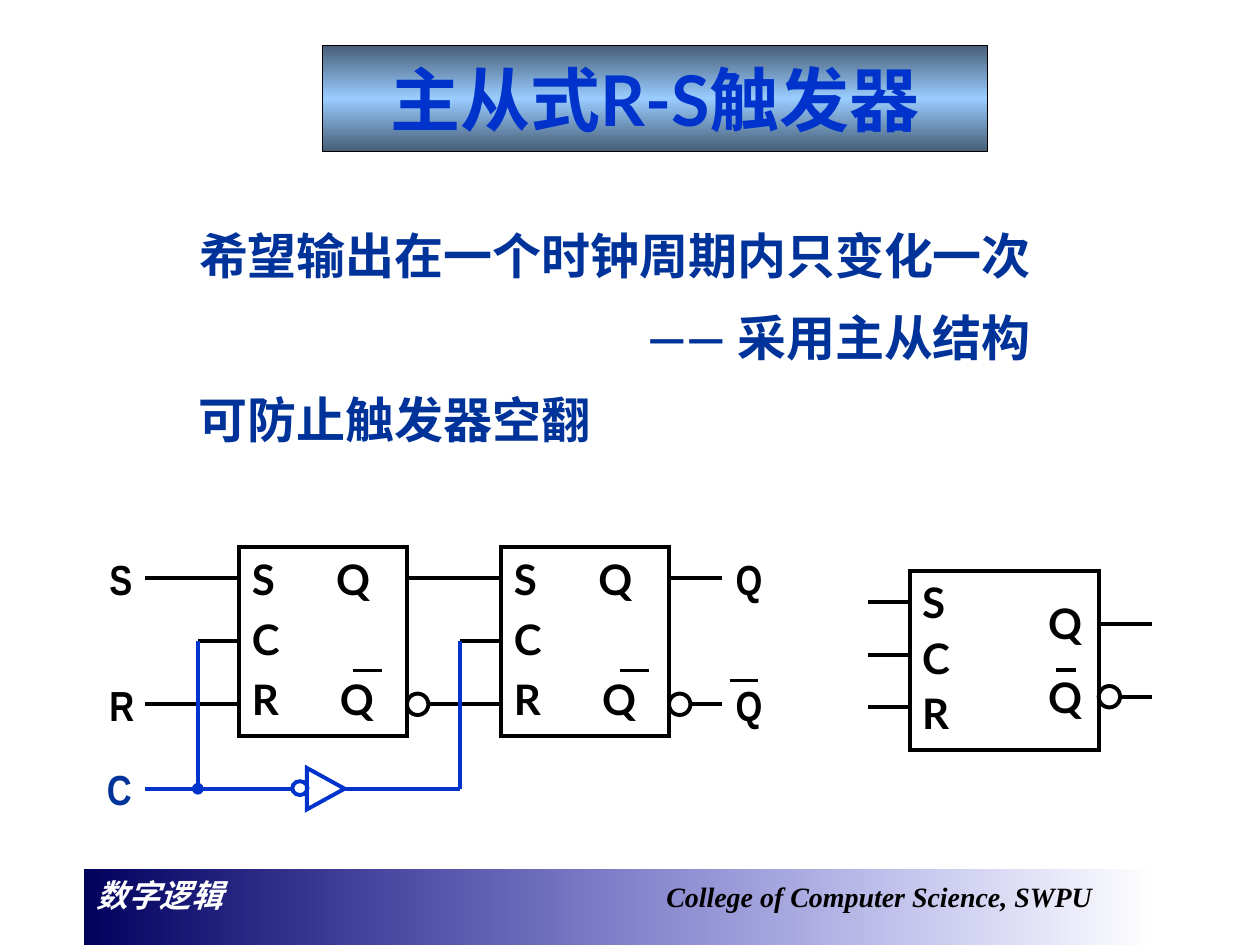
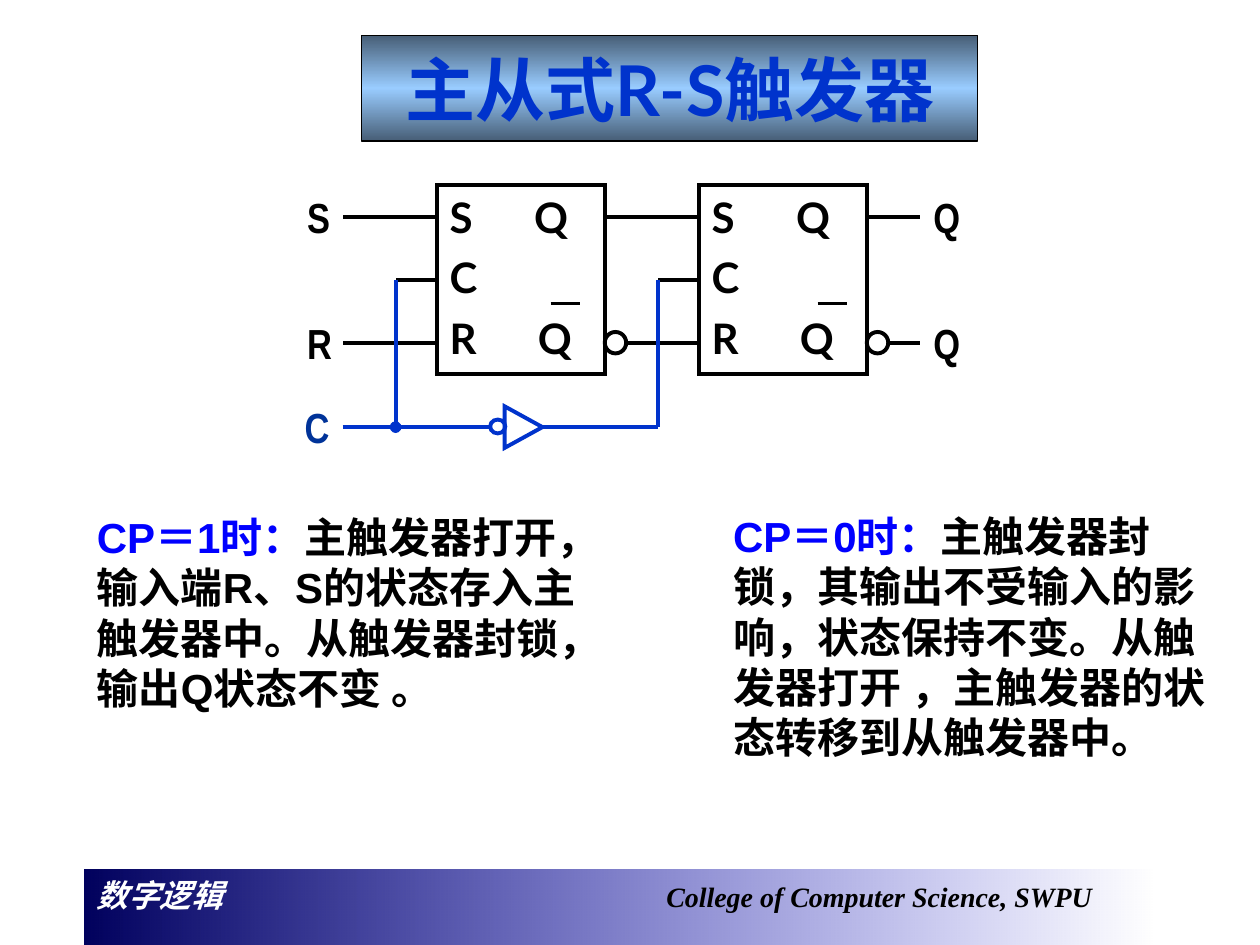
from pptx import Presentation
from pptx.dml.color import RGBColor
from pptx.enum.lang import MSO_LANGUAGE_ID
from pptx.enum.shapes import MSO_CONNECTOR, MSO_SHAPE
from pptx.enum.text import MSO_ANCHOR, MSO_AUTO_SIZE, PP_ALIGN
from pptx.oxml import parse_xml
from pptx.oxml.ns import nsdecls, qn
from pptx.util import Inches, Pt

STRAIGHT = MSO_CONNECTOR.STRAIGHT
RECT, OVAL, TRIANGLE = MSO_SHAPE.RECTANGLE, MSO_SHAPE.OVAL, MSO_SHAPE.ISOSCELES_TRIANGLE
TOP, MIDDLE = MSO_ANCHOR.TOP, MSO_ANCHOR.MIDDLE
LEFT, CENTER, RIGHT = PP_ALIGN.LEFT, PP_ALIGN.CENTER, PP_ALIGN.RIGHT
CHINESE = MSO_LANGUAGE_ID.SIMPLIFIED_CHINESE
LEFT_SIDE = 1

# Shared styles
BLACK, WHITE, NAVY, WIRE_BLUE, CP_BLUE = "000000", "FFFFFF", "003399", "0033CC", "0000FF"
BAND_STOPS = [(0, "00005E", 100), (100, "0000CC", 0)]
TITLE_STOPS = [(0, "475E76", 100), (50, "99CCFF", 100), (100, "475E76", 100)]
ASIAN_FONT = "Lato"
TITLE = dict(size=40, name="Lato", color=WIRE_BLUE)
PIN = dict(size=24, name="Lato", color=BLACK)
SIGNAL = dict(size=24, name="Arial Narrow", color=BLACK)
CLOCK = dict(SIGNAL, color=NAVY)
CLAIM = dict(size=28, name="Noto Sans CJK SC", color=NAVY)
DASH = dict(CLAIM, name="Times New Roman")
CP = dict(size=24, name="Arial", color=CP_BLUE)
CP_BODY = dict(CP, color=BLACK)
COURSE = dict(size=18, name="Times New Roman", color=WHITE, italic=True)
COLLEGE = dict(COURSE, size=16, color=BLACK)

# Content
HEADING = "主从式R-S触发器"
FOOTER = [("数字逻辑\t", COURSE), ("College of Computer Science, SWPU", COLLEGE)]
TITLE_BOXES = [(2.56, 0.36, 5.28, 0.84), (2.87, 0.28, 4.89, 0.84)]
CLAIMS = [
    [("希望输出在一个时钟周期内只变化一次", CLAIM)],
    [("—— ", DASH), ("采用主从结构", CLAIM)],
]
BENEFIT = "可防止触发器空翻"
CP_STATES = [
    ((0.67, 4.01, 4.25, 1.7), "CP＝1时：",
     "主触发器打开，输入端R、S的状态存入主触发器中。从触发器封锁，输出Q状态不变 。"),
    ((5.72, 4, 4.17, 2.1), "CP＝0时：",
     "主触发器封锁，其输出不受输入的影响，状态保持不变。从触发器打开 ，"
     "主触发器的状态转移到从触发器中。"),
]
LATCH_ROWS = [("S\tQ", 0.67), ("C", None), ("R\tQ", 0.7)]
# Signal names with their place relative to the first latch
SIGNALS = [("S", -1.13, 0, SIGNAL), ("R", -1.13, 1, SIGNAL), ("C", -1.15, 1.67, CLOCK),
           ("Q", 3.84, 0, SIGNAL), ("Q", 3.84, 1, SIGNAL)]

# Latch geometry
LATCH_W, LATCH_H, LATCH_PITCH = 1.33, 1.5, 2.08
PIN_S, PIN_C, PIN_R = 0.25, 0.75, 1.25
LEAD, BUBBLE, CLOCK_Y = 0.33, 0.17, 1.92
OUT_END = LATCH_PITCH - LEAD


def rgb(color):
    return RGBColor.from_string(color)


def gradient(shape, stops, angle):
    shape.fill.gradient()
    shape.fill.gradient_angle = angle
    stop_list = shape.element.spPr.find(qn("a:gradFill")).find(qn("a:gsLst"))
    for old in list(stop_list):
        stop_list.remove(old)
    for place, color, alpha in stops:
        stop_list.append(parse_xml(
            f'<a:gs {nsdecls("a")} pos="{place * 1000}"><a:srgbClr val="{color}">'
            f'<a:alpha val="{alpha * 1000}"/></a:srgbClr></a:gs>'))


def add_run(paragraph, text, style):
    run = paragraph.add_run()
    run.text = text
    values = dict(size=Pt(style["size"]), name=style["name"], bold=True,
                  italic=style.get("italic"), language_id=CHINESE)
    for key, value in values.items():
        setattr(run.font, key, value)
    run.font.color.rgb = rgb(style["color"])
    latin = run.font._element.find(qn("a:latin"))
    latin.addnext(parse_xml(f'<a:ea {nsdecls("a")} typeface="{ASIAN_FONT}"/>'))


def write(shape, paragraphs, anchor=TOP, align=LEFT, wrap=True, spacing=None, tabs=()):
    """Fill a shape with paragraphs, each a list of (text, style) runs."""
    frame = shape.text_frame
    values = dict(word_wrap=wrap, vertical_anchor=anchor, auto_size=MSO_AUTO_SIZE.NONE,
                  margin_left=Inches(0.1), margin_right=Inches(0.1),
                  margin_top=Inches(0.05), margin_bottom=Inches(0.05))
    for key, value in values.items():
        setattr(frame, key, value)
    for index, runs in enumerate(paragraphs):
        paragraph = frame.paragraphs[0] if index == 0 else frame.add_paragraph()
        properties = paragraph._p.get_or_add_pPr()
        properties.set("hangingPunct", "0")
        if index < len(tabs) and tabs[index]:
            properties.append(parse_xml(
                f'<a:tabLst {nsdecls("a")}>'
                f'<a:tab pos="{Inches(tabs[index])}" algn="l"/></a:tabLst>'))
        paragraph.alignment = align
        if spacing:
            paragraph.line_spacing = spacing[index]
        for text, style in runs:
            add_run(paragraph, text, style)


def add_text(shapes, box, paragraphs, **layout):
    write(shapes.add_textbox(*map(Inches, box)), paragraphs, **layout)


def add_outline(shapes, kind, box, color=BLACK):
    shape = shapes.add_shape(kind, *map(Inches, box))
    shape.shadow.inherit = False
    shape.fill.background()
    shape.line.color.rgb = rgb(color)
    shape.line.width = Pt(2.25)
    shape.line._get_or_add_ln().append(
        parse_xml(f'<a:miter {nsdecls("a")} lim="800000"/>'))
    return shape


def add_wire(shapes, x1, y1, x2, y2, color=BLACK, width=2.25, dot=False):
    wire = shapes.add_connector(STRAIGHT, *map(Inches, (x1, y1, x2, y2)))
    wire.line.color.rgb = rgb(color)
    wire.line.width = Pt(width)
    if dot:
        wire.line._get_or_add_ln().append(
            parse_xml(f'<a:tailEnd {nsdecls("a")} type="oval"/>'))
    wire.element.spPr.append(parse_xml(f'<a:effectLst {nsdecls("a")}/>'))
    return wire


def add_latch(shapes, x, y):
    latch = add_outline(shapes, RECT, (x, y, LATCH_W, LATCH_H))
    write(latch, [[(text, PIN)] for text, _ in LATCH_ROWS],
          spacing=(1, 1.2, 1.2), tabs=[tab for _, tab in LATCH_ROWS])
    for pin in (PIN_S, PIN_C, PIN_R):
        lead = add_wire(shapes, x, y + pin, x - LEAD, y + pin)
        if pin == PIN_C:
            lead.begin_connect(latch, LEFT_SIDE)
    right = x + LATCH_W
    add_wire(shapes, right, y + PIN_S, x + OUT_END, y + PIN_S)
    add_wire(shapes, right + BUBBLE, y + PIN_R, x + OUT_END, y + PIN_R)
    add_outline(shapes, OVAL, (right, y + PIN_R - BUBBLE / 2, BUBBLE, BUBBLE))


def add_master_slave(slide, x, y, bar_y):
    """Two latches with an inverted clock; x, y is the corner of the first latch."""
    shapes = slide.shapes.add_group_shape().shapes
    for latch_x in (x, x + LATCH_PITCH):
        add_latch(shapes, latch_x, y)
    input_x, clock_y = x - 0.75, y + CLOCK_Y
    for pin in (PIN_S, PIN_R):
        add_wire(shapes, x - LEAD, y + pin, input_x, y + pin)
    # Clock path and inverter
    inverter = add_outline(shapes, TRIANGLE, (x + 0.52, y + 1.77, 0.33, 0.3), WIRE_BLUE)
    inverter.rotation = 90
    add_outline(shapes, OVAL, (x + 0.42, y + 1.86, 0.12, 0.11), WIRE_BLUE)
    add_wire(shapes, input_x, clock_y, x + 0.42, clock_y, WIRE_BLUE)
    add_wire(shapes, x + 0.83, clock_y, x + OUT_END, clock_y, WIRE_BLUE)
    for branch_x, dot in ((x + OUT_END, False), (x - LEAD, True)):
        add_wire(shapes, branch_x, y + PIN_C, branch_x, clock_y, WIRE_BLUE, dot=dot)
    for text, dx, dy, style in SIGNALS:
        add_text(shapes, (x + dx, y + dy, 0.4, 0.5), [[(text, style)]], wrap=False)
    # Bars over the inverted outputs
    for dx in (0.9, 3.02):
        add_wire(slide.shapes, x + dx, y + bar_y, x + dx + 0.23, y + bar_y, width=1.5)


def add_symbol(slide, x, y):
    shapes = slide.shapes.add_group_shape().shapes
    width, end = 1.5, 1.92
    body = add_outline(shapes, RECT, (x, y, width, 1.42))
    write(body, [[(pin, PIN)] for pin in "SCR"], spacing=(1, 1.1, 1.1))
    for pin in (0.25, 0.67, 1.08):
        add_wire(shapes, x, y + pin, x - LEAD, y + pin)
    for dy in (0.16, 0.75):
        add_text(shapes, (x + 1, y + dy, 0.46, 0.5), [[("Q", PIN)]], wrap=False)
    add_wire(shapes, x + 1.16, y + 0.79, x + 1.32, y + 0.79)
    add_wire(shapes, x + end, y + 0.42, x + width, y + 0.42)
    add_wire(shapes, x + end, y + 1, x + width + BUBBLE, y + 1)
    add_outline(shapes, OVAL, (x + width, y + 1 - BUBBLE / 2, BUBBLE, BUBBLE))


def add_title(slide, box):
    title = slide.shapes.title
    for key, value in zip(("left", "top", "width", "height"), box):
        setattr(title, key, Inches(value))
    gradient(title, TITLE_STOPS, 90)
    title.line.color.rgb = rgb(BLACK)
    title.line.width = Pt(0.75)
    write(title, [[(HEADING, TITLE)]], anchor=MIDDLE, align=CENTER)


def add_footer_to_layout(layout, slide):
    band = add_outline(slide.shapes, RECT, (0.67, 6.9, 8.5, 0.6))
    gradient(band, BAND_STOPS, 0)
    band.line.fill.background()
    write(band, [FOOTER], tabs=[4.52])
    layout.shapes.element.append(band.element)


def main():
    deck = Presentation()
    deck.slide_width, deck.slide_height = Inches(10), Inches(7.5)
    layout = deck.slide_layouts[5]
    structure, behaviour = [deck.slides.add_slide(layout) for _ in TITLE_BOXES]
    add_footer_to_layout(layout, structure)
    for slide, box in zip((structure, behaviour), TITLE_BOXES):
        add_title(slide, box)

    # Slide 1: structure and symbol
    add_master_slave(structure, 1.9, 4.34, bar_y=0.98)
    add_wire(structure.shapes, 5.79, 5.4, 6.02, 5.4, width=1.5)
    add_symbol(structure, 7.22, 4.53)
    add_text(structure.shapes, (1.48, 1.55, 6.8, 1.41), CLAIMS,
             align=RIGHT, wrap=False, spacing=(1.4, 1.4))
    add_text(structure.shapes, (1.48, 3.04, 3.3, 0.57), [[(BENEFIT, CLAIM)]], wrap=False)

    # Slide 2: behaviour for each clock level
    for box, level, effect in CP_STATES:
        add_text(behaviour.shapes, box, [[(level, CP), (effect, CP_BODY)]], anchor=MIDDLE)
    add_master_slave(behaviour, 3.47, 1.47, bar_y=0.94)

    deck.save("out.pptx")


if __name__ == "__main__":
    main()
